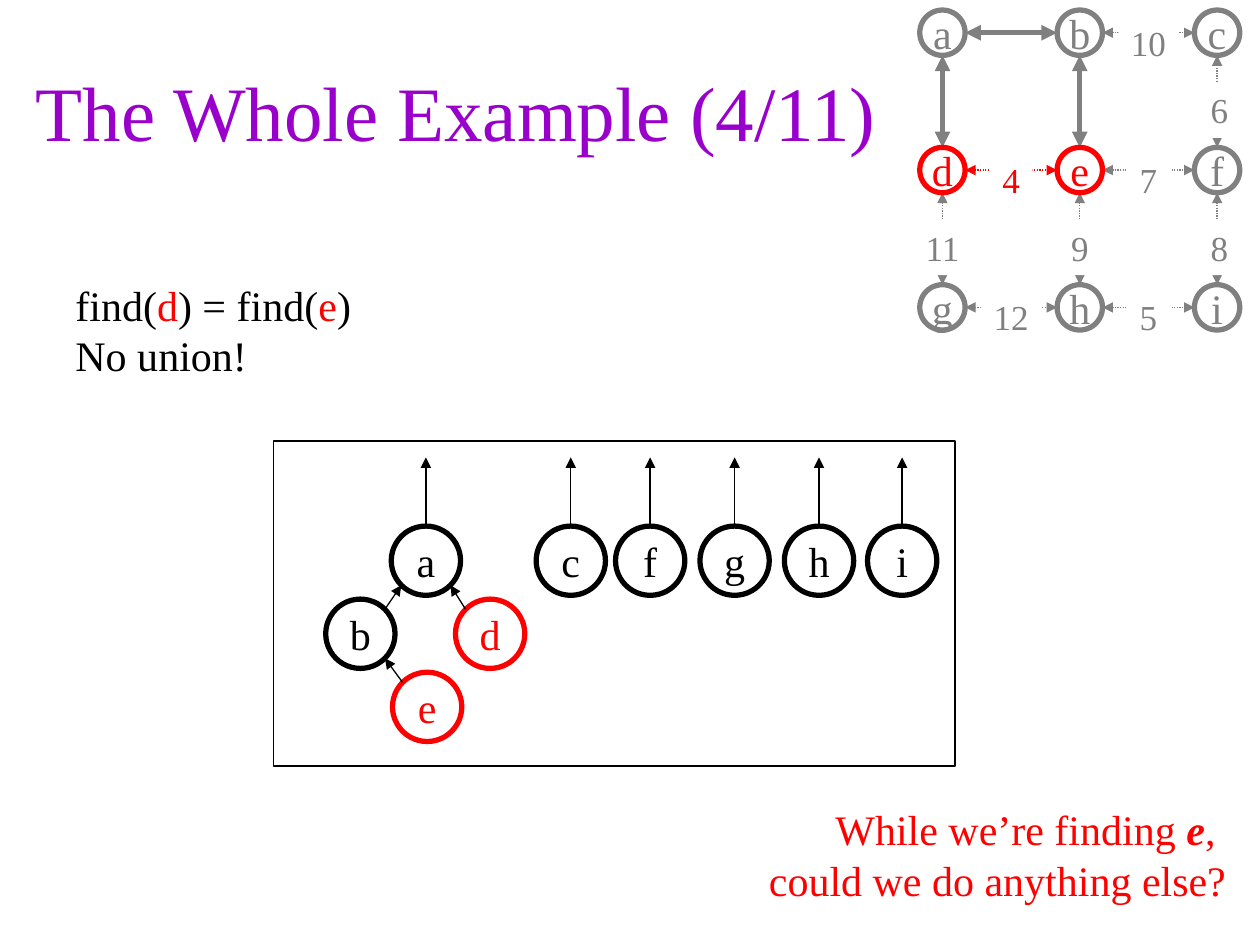
from lxml import etree
from pptx import Presentation
from pptx.dml.color import RGBColor
from pptx.enum import dml, shapes, text
from pptx.oxml import ns
from pptx.util import Inches, Pt

FONT = "Times New Roman"
BLACK = RGBColor(0, 0, 0)
WHITE = RGBColor(255, 255, 255)
GREY = RGBColor(128, 128, 128)
RED = RGBColor(255, 0, 0)
PURPLE = RGBColor(153, 0, 204)
ACTIVE = {"d", "e"}

GRAPH_ROWS = ["abc", "def", "ghi"]
GRAPH_EDGES = [
    ("ab", None, 0), ("ad", None, 0), ("be", None, 0),
    ("de", 4, 0.34), ("dg", 11, 0.49), ("bc", 10, 0.48),
    ("ef", 7, 0.34), ("eh", 9, 0.58), ("cf", 6, 0.3),
    ("fi", 8, 0.3), ("gh", 12, 0.48), ("hi", 5, 0.34),
]
ROOTS = {"a": 1.21, "c": 2.36, "f": 2.99, "g": 3.66, "h": 4.33, "i": 4.99}
CHILDREN = {"b": ("a", 0.69, 1.53), "d": ("a", 1.72, 1.53), "e": ("b", 1.22, 2.11)}


def write_text(shape, paragraphs, size=24, color=BLACK, align=text.PP_ALIGN.LEFT,
               anchor=text.MSO_ANCHOR.TOP, wrap=False, auto_size=text.MSO_AUTO_SIZE.NONE):
    """Fill a shape with paragraphs of (text, color, emphasis) runs."""
    frame = shape.text_frame
    frame.word_wrap = wrap
    frame.auto_size = auto_size
    frame.vertical_anchor = anchor
    for index, runs in enumerate(paragraphs):
        paragraph = frame.paragraphs[0] if index == 0 else frame.add_paragraph()
        paragraph.alignment = align
        for content, run_color, emphasis in runs:
            run = paragraph.add_run()
            run.text = content
            run.font.name = FONT
            run.font.size = Pt(size)
            run.font.bold = run.font.italic = emphasis
            run.font.color.rgb = run_color or color


def plain(content):
    """Return one run in the default format."""
    return (content, None, False)


def add_box(container, kind, left, top, width, height, fill=None, line=None, weight=0.75):
    """Add a preset shape with an optional fill and outline."""
    shape = container.add_shape(kind, Inches(left), Inches(top), Inches(width), Inches(height))
    shape.shadow.inherit = False
    if fill is None:
        shape.fill.background()
    else:
        shape.fill.solid()
        shape.fill.fore_color.rgb = fill
    if line is None:
        shape.line.fill.background()
    else:
        shape.line.color.rgb = line
        shape.line.width = Pt(weight)
    return shape


def add_node(container, name, center, diameter, color):
    """Add a labelled circle around a center point."""
    left, top = (value - diameter / 2 for value in center)
    node = add_box(container, shapes.MSO_SHAPE.OVAL, left, top, diameter, diameter,
                   line=color, weight=3)
    write_text(node, [[plain(name)]], color=color, align=text.PP_ALIGN.CENTER,
               anchor=text.MSO_ANCHOR.MIDDLE)


def add_arrow(container, start, end, color=BLACK, weight=0.75, dotted=False, both=False):
    """Add a straight arrow with a head at one end or both."""
    arrow = container.add_connector(shapes.MSO_CONNECTOR.STRAIGHT,
                                    *(Inches(value) for value in (*start, *end)))
    arrow.line.color.rgb = color
    arrow.line.width = Pt(weight)
    if dotted:
        arrow.line.dash_style = dml.MSO_LINE.ROUND_DOT
    line = arrow.line._get_or_add_ln()
    for tag in ["a:headEnd", "a:tailEnd"] if both else ["a:tailEnd"]:
        etree.SubElement(line, ns.qn(tag)).set("type", "triangle")
    etree.SubElement(arrow._element.spPr, ns.qn("a:effectLst"))


def add_title(slide, left, top, width, height):
    """Place and format the title placeholder."""
    title = slide.shapes.title
    title.left, title.top, title.width, title.height = (
        Inches(value) for value in (left, top, width, height))
    write_text(title, [[plain("The Whole Example (4/11)")]], size=44, color=PURPLE,
               align=text.PP_ALIGN.CENTER, anchor=text.MSO_ANCHOR.MIDDLE, wrap=True)


def add_note(slide, left, top, width, height, paragraphs, **text_format):
    """Add a free text box."""
    box = slide.shapes.add_textbox(Inches(left), Inches(top), Inches(width), Inches(height))
    write_text(box, paragraphs, auto_size=text.MSO_AUTO_SIZE.SHAPE_TO_FIT_TEXT, **text_format)


def add_graph(slide, left, top, pitch=1.09, diameter=0.36):
    """Draw the weighted grid graph with its chosen edges in bold."""
    radius = diameter / 2
    centers = {name: (left + radius + column * pitch, top + radius + row * pitch)
               for row, names in enumerate(GRAPH_ROWS) for column, name in enumerate(names)}
    for (first, second), cost, label_width in GRAPH_EDGES:
        (x1, y1), (x2, y2) = centers[first], centers[second]
        vertical = x1 == x2
        dx, dy = (0, radius) if vertical else (radius, 0)
        color = RED if {first, second} == ACTIVE else GREY
        chosen = cost is None
        add_arrow(slide.shapes, (x1 + dx, y1 + dy), (x2 - dx, y2 - dy), color,
                  weight=3 if chosen else 0.75, dotted=not chosen, both=True)
        if chosen:
            continue
        middle = (y1 + y2) / 2 + (0.07 if vertical else 0.08)
        label = add_box(slide.shapes, shapes.MSO_SHAPE.RECTANGLE,
                        (x1 + x2 - label_width) / 2, middle - 0.22, label_width, 0.44, fill=WHITE)
        write_text(label, [[plain(str(cost))]], size=20, color=color, wrap=vertical,
                   align=text.PP_ALIGN.CENTER, auto_size=text.MSO_AUTO_SIZE.SHAPE_TO_FIT_TEXT)
    for name, center in centers.items():
        add_node(slide.shapes, name, center, diameter, RED if name in ACTIVE else GREY)


def add_forest(slide, left, top, width, height, diameter=0.55):
    """Draw the framed union-find forest as one group."""
    container = slide.shapes.add_group_shape().shapes
    add_box(container, shapes.MSO_SHAPE.RECTANGLE, left, top, width, height,
            fill=WHITE, line=BLACK)
    root_y = top + 0.95
    centers = {name: (left + x, root_y) for name, x in ROOTS.items()}
    centers.update({name: (left + x, top + y) for name, (_, x, y) in CHILDREN.items()})
    for name, center in centers.items():
        add_node(container, name, center, diameter, RED if name in ACTIVE else BLACK)
    for name in ROOTS:
        x = centers[name][0]
        add_arrow(container, (x, root_y - diameter / 2), (x, top + 0.13))
    diagonal = diameter / 2 * 0.71
    for name, (parent, _, _) in CHILDREN.items():
        (x1, y1), (x2, y2) = centers[name], centers[parent]
        dx = diagonal if x2 > x1 else -diagonal
        add_arrow(container, (x1 + dx, y1 - diagonal), (x2 - dx, y2 + diagonal))


def main():
    """Build the slide and save it."""
    presentation = Presentation()
    presentation.slide_width, presentation.slide_height = Inches(10), Inches(7.5)
    slide = presentation.slides.add_slide(presentation.slide_layouts[5])
    add_title(slide, 0.08, 0.25, 7.08, 1.25)
    add_note(slide, 0.5, 2.17, 2.39, 0.9, [
        [plain("find("), ("d", RED, False), plain(") = find("), ("e", RED, False), plain(")")],
        [plain("No union!")]])
    add_graph(slide, 7.3, 0.08)
    add_forest(slide, 2.17, 3.5, 5.41, 2.58)
    add_note(slide, 6, 6.33, 3.83, 0.9, [
        [plain("While we’re finding "), ("e", None, True), plain(", ")],
        [plain("could we do anything else?")]], color=RED, align=text.PP_ALIGN.RIGHT)
    presentation.save("out.pptx")


if __name__ == "__main__":
    main()
